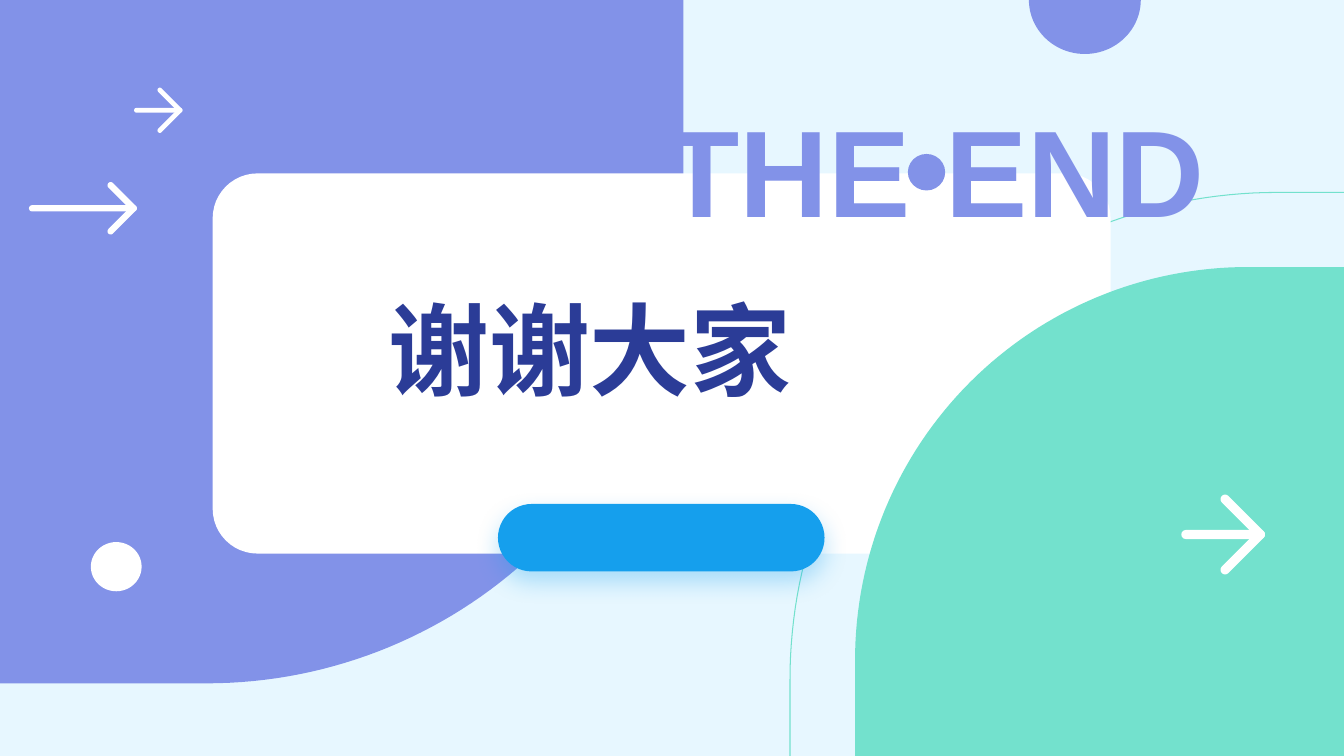
"""Build the closing thank-you slide with rounded panels, arrows and dots."""
import math

import pptx
import pptx.dml.color
import pptx.enum.shapes
import pptx.enum.text
import pptx.oxml
import pptx.oxml.ns
import pptx.util

Cm = pptx.util.Cm
RGBColor = pptx.dml.color.RGBColor
PRESET = pptx.enum.shapes.MSO_SHAPE
ALIGN = pptx.enum.text.PP_ALIGN

PALE = RGBColor(0xE7, 0xF7, 0xFF)
PURPLE = RGBColor(0x82, 0x92, 0xE8)
TEAL = RGBColor(0x73, 0xE1, 0xCD)
BLUE = RGBColor(0x15, 0x9F, 0xED)
NAVY = RGBColor(0x2B, 0x3C, 0x97)
WHITE = RGBColor(0xFF, 0xFF, 0xFF)

THANKS = "谢谢大家"
ENDING = "THE END"

SLIDE = (33.87, 19.05)
PURPLE_PANEL = dict(corner=(0, 0), size=17.22, radius=12.01, direction=1)
TEAL_PANEL = dict(corner=SLIDE, size=12.32, radius=9.9, direction=-1)
TEAL_CURVE = dict(corner=(35.18, 20.12), size=15.27, radius=12.27, direction=-1)
CARD = (5.36, 4.37, 22.63, 9.58)
PILL = (12.55, 12.7, 8.23, 1.7)
DOTS = [
    ((25.93, -1.37, 2.82, 2.73), PURPLE),
    ((22.88, 3.88, 0.94, 0.92), PURPLE),
    ((2.29, 13.66, 1.28, 1.24), WHITE),
]
ARROWS = [
    dict(tip=4.6, middle=2.78, length=1.22, stroke=0.12, arm=0.51),
    dict(tip=3.45, middle=5.25, length=2.72, stroke=0.16, arm=0.58),
    dict(tip=31.88, middle=13.47, length=2.11, stroke=0.23, arm=0.89),
]
SHADOW = (
    '<a:effectLst xmlns:a="http://schemas.openxmlformats.org/drawingml/2006/main">'
    '<a:outerShdw blurRad="214630" dist="95250" dir="5400000" algn="t" rotWithShape="0">'
    f'<a:srgbClr val="{BLUE}"><a:alpha val="30000"/></a:srgbClr>'
    '</a:outerShdw></a:effectLst>'
)


def arc(x, y, radius, start, end, steps=12):
    """Return points along a circle between two angles in degrees."""
    angles = [math.radians(start + (end - start) * i / steps) for i in range(steps + 1)]
    return [(x + radius * math.cos(a), y + radius * math.sin(a)) for a in angles]


def paint(shape, fill=None, line=None):
    """Set the fill and line of a shape and drop its shadow."""
    shape.shadow.inherit = False
    if fill is None:
        shape.fill.background()
    else:
        shape.fill.solid()
        shape.fill.fore_color.rgb = fill
    if line is None:
        shape.line.fill.background()
    else:
        shape.line.color.rgb = line
        shape.line.width = pptx.util.Pt(0.75)


def add_preset(page, kind, place, fill, rounding=None):
    """Add a filled preset shape."""
    shape = page.shapes.add_shape(kind, *map(Cm, place))
    if rounding is not None:
        shape.adjustments[0] = rounding
    paint(shape, fill)
    return shape


def add_outline(page, points, **colours):
    """Add a closed freeform through the given points."""
    points = [(Cm(x), Cm(y)) for x, y in points]
    builder = page.shapes.build_freeform(*points[0])
    builder.add_line_segments(points[1:], close=True)
    paint(builder.convert_to_shape(), **colours)


def add_panel(page, corner, size, radius, direction, **colours):
    """Add a square panel whose corner opposite the given one is rounded."""
    inset = size - radius
    curve = arc(inset, inset, radius, 0, 90, 64)
    points = [(0, 0), (size, 0), *curve, (0, size)]
    x, y = corner
    add_outline(page, [(x + direction * a, y + direction * b) for a, b in points], **colours)


def add_arrow(page, tip, middle, length, stroke, arm):
    """Add a white round-ended arrow pointing right."""
    half = stroke / 2
    shaft = (tip - length, middle - half, length, stroke)
    add_preset(page, PRESET.ROUNDED_RECTANGLE, shaft, WHITE, 0.5)
    point = tip - half
    head = arc(point, middle, half, -45, 45)
    head += arc(point - arm, middle + arm, half, 45, 225)
    head.append((point - half * math.sqrt(2), middle))
    head += arc(point - arm, middle - arm, half, 135, 315)
    add_outline(page, head, fill=WHITE)


def write(box, text, size, colour, align):
    """Fill a box with one line of bold text."""
    frame = box.text_frame
    frame.word_wrap = True
    frame.vertical_anchor = pptx.enum.text.MSO_ANCHOR.TOP
    para = frame.paragraphs[0]
    para.alignment = align
    span = para.add_run()
    span.text = text
    span.font.name = "Arial"
    span.font.size = pptx.util.Pt(size)
    span.font.bold = True
    span.font.color.rgb = colour


def main():
    """Compose and save the slide."""
    deck = pptx.Presentation()
    deck.slide_width, deck.slide_height = map(Cm, SLIDE)
    page = deck.slides.add_slide(deck.slide_layouts[5])
    page.background.fill.solid()
    page.background.fill.fore_color.rgb = PALE

    add_panel(page, **PURPLE_PANEL, fill=PURPLE)
    add_panel(page, **TEAL_CURVE, line=TEAL)
    add_preset(page, PRESET.ROUNDED_RECTANGLE, CARD, WHITE, 0.118)
    pill = add_preset(page, PRESET.ROUNDED_RECTANGLE, PILL, BLUE, 0.5)
    properties = pill._element.spPr
    properties.remove(properties.find(pptx.oxml.ns.qn("a:effectLst")))
    properties.append(pptx.oxml.parse_xml(SHADOW))
    for place, colour in DOTS:
        add_preset(page, PRESET.OVAL, place, colour)
    add_panel(page, **TEAL_PANEL, fill=TEAL)
    for arrow in ARROWS:
        add_arrow(page, **arrow)

    title = page.shapes.title
    page.shapes._spTree.append(title._element)
    title.left, title.top, title.width, title.height = map(Cm, (9.53, 7.11, 27.64, 3.33))
    write(title, THANKS, 72, NAVY, ALIGN.LEFT)
    ending = page.shapes.add_textbox(*map(Cm, (16.21, 2.26, 14.71, 4.01)))
    write(ending, ENDING, 88, PURPLE, ALIGN.CENTER)

    deck.save("out.pptx")


if __name__ == "__main__":
    main()
